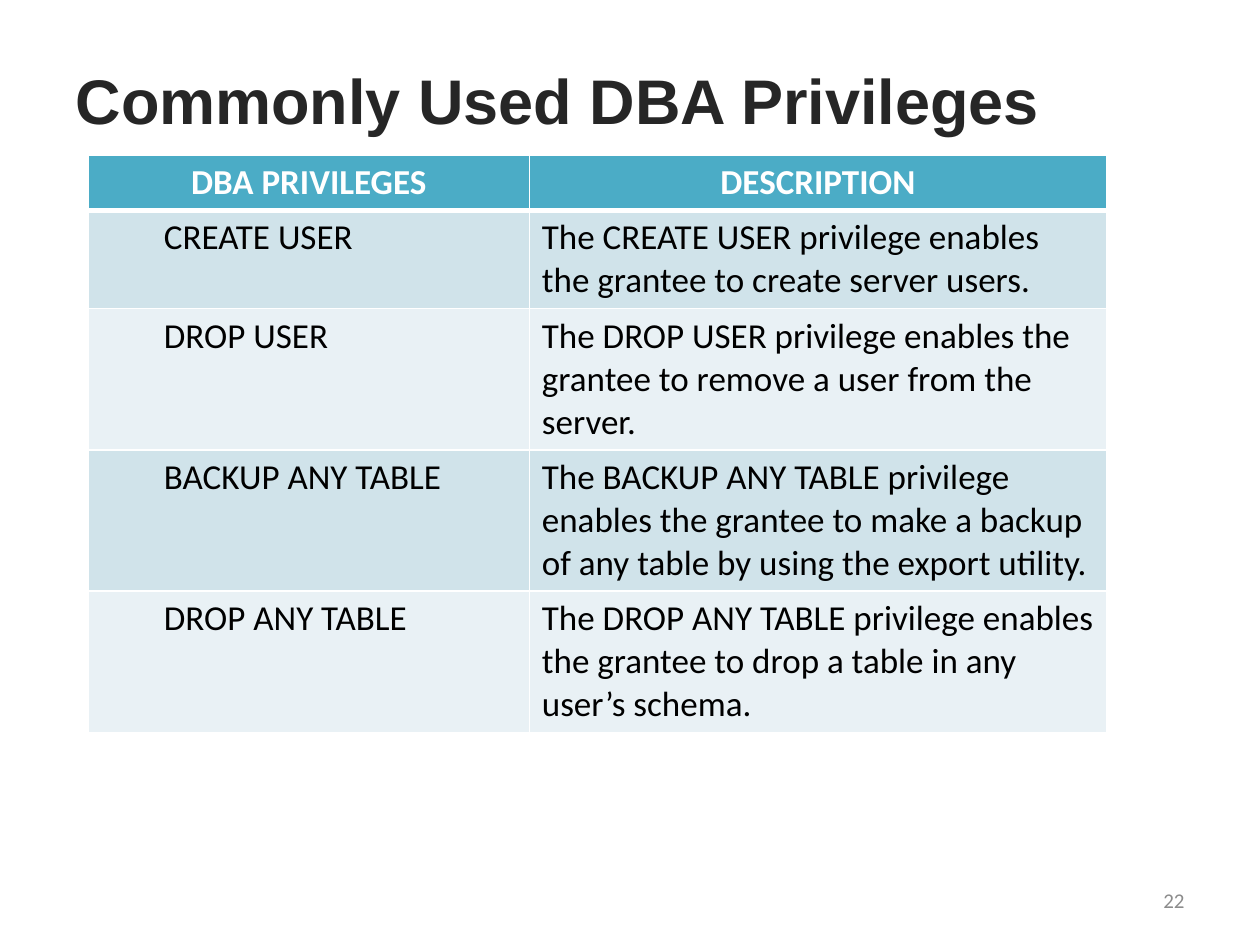
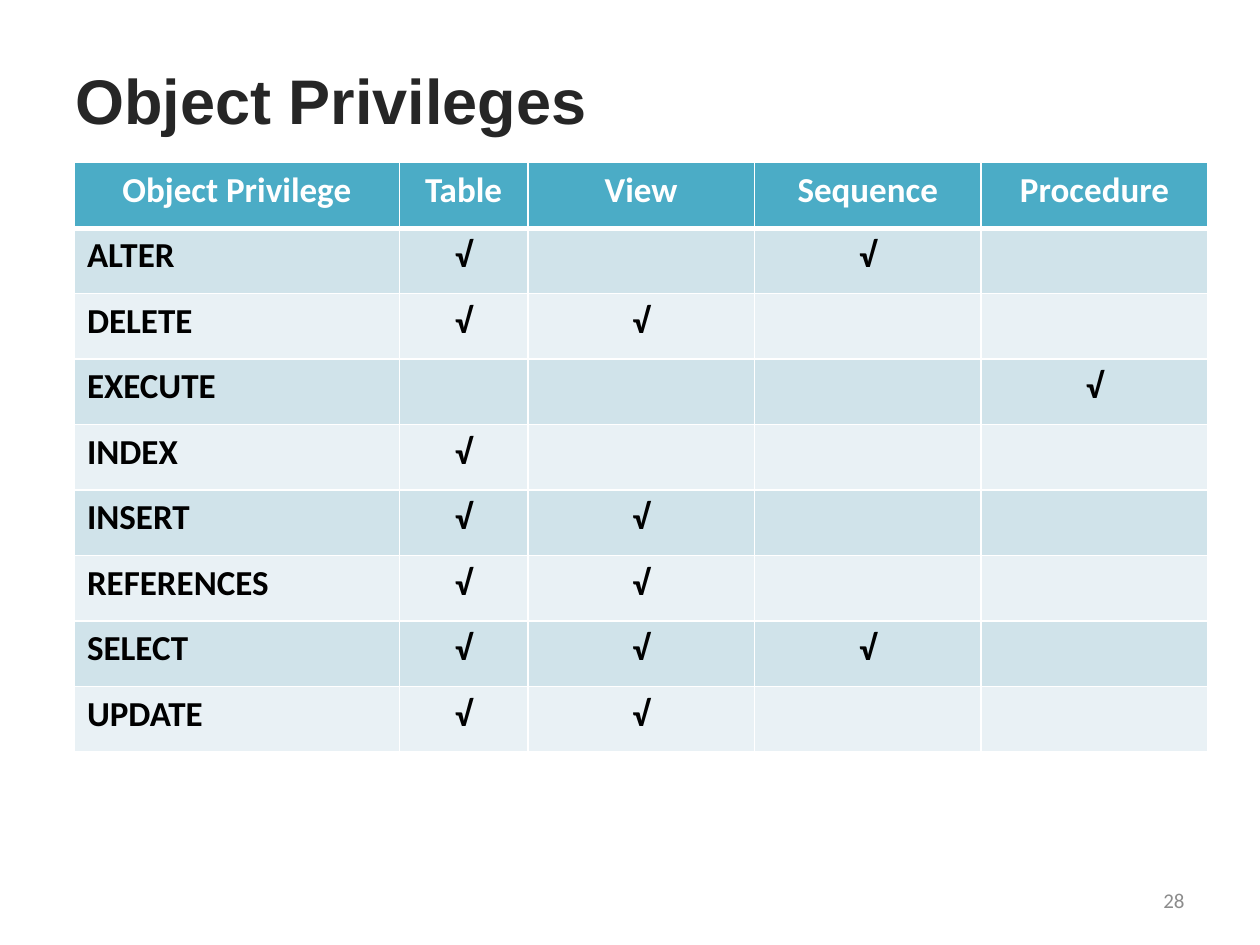
"""Build two slides of database privilege tables."""
from dataclasses import dataclass
from typing import Any

from lxml.etree import SubElement
from pptx import Presentation
from pptx.dml.color import RGBColor as RGB
from pptx.enum.text import MSO_ANCHOR as Anchor, MSO_AUTO_SIZE as AutoSize, PP_ALIGN as Align
from pptx.oxml.ns import qn
from pptx.util import Cm, Pt


@dataclass(frozen=True)
class Theme:
    title_font: str = "Arial"
    body_font: str = "Calibri"
    title_size: int = 36
    body_size: int = 20
    number_size: int = 12
    title: str = "262626"
    number: str = "8C8C8C"
    header: str = "4BACC6"
    bands: tuple[str, str] = ("D0E3EA", "E9F1F5")
    white: str = "FFFFFF"
    black: str = "000000"
    rule: int = 1
    header_rule: int = 3


@dataclass(frozen=True)
class Grid:
    left: float
    top: float
    cols: tuple[float, ...]
    heights: tuple[float, ...]
    rows: list[list[str]]
    aligns: tuple[Any, ...]
    bold: bool = False
    indent: float = 0


@dataclass(frozen=True)
class Page:
    title: str
    title_width: float
    number: int
    grid: Grid


T = Theme()

DBA = Grid(
    left=1.78, top=3.12, cols=(8.89, 11.64), heights=(1.09, 1.98) + (2.84,) * 3,
    rows=[
        ["DBA PRIVILEGES", "DESCRIPTION"],
        ["CREATE USER",
         "The CREATE USER privilege enables the grantee to create server users."],
        ["DROP USER",
         "The DROP USER privilege enables the grantee to remove a user from the server."],
        ["BACKUP ANY TABLE",
         "The BACKUP ANY TABLE privilege enables the grantee to make a backup "
         "of any table by using the export utility."],
        ["DROP ANY TABLE",
         "The DROP ANY TABLE privilege enables the grantee to drop a table in any user’s schema."],
    ],
    aligns=(Align.LEFT, Align.LEFT), indent=1.27)

OBJECTS = ["Table", "View", "Sequence", "Procedure"]
GRANTS = {
    "ALTER": {"Table", "Sequence"},
    "DELETE": {"Table", "View"},
    "EXECUTE": {"Procedure"},
    "INDEX": {"Table"},
    "INSERT": {"Table", "View"},
    "REFERENCES": {"Table", "View"},
    "SELECT": {"Table", "View", "Sequence"},
    "UPDATE": {"Table", "View"},
}
OBJECT = Grid(
    left=1.5, top=3.28, cols=(6.55, 2.59) + (4.57,) * 3, heights=(1.32,) * (len(GRANTS) + 1),
    rows=[["Object Privilege", *OBJECTS]]
    + [[name, *("√" if o in granted else "" for o in OBJECTS)] for name, granted in GRANTS.items()],
    aligns=(Align.LEFT,) + (Align.CENTER,) * len(OBJECTS), bold=True)

PAGES = [
    Page("Commonly Used DBA Privileges", 20.04, 22, DBA),
    Page("Object Privileges", 22.86, 28, OBJECT),
]


def write(tf: Any, text: str, color: str, align: Any, **fmt: Any) -> Any:
    """Put one formatted run in a text frame and return its paragraph."""
    p = tf.paragraphs[0]
    p.alignment = align
    r = p.add_run()
    r.text = text
    for key, value in fmt.items():
        setattr(r.font, key, value)
    r.font.color.rgb = RGB.from_string(color)
    return p


def place(sp: Any, left: float, top: float, width: float, height: float) -> None:
    """Set the position and size of a shape in centimetres."""
    box = {"left": left, "top": top, "width": width, "height": height}
    for key, value in box.items():
        setattr(sp, key, Cm(value))


def middle(tf: Any) -> None:
    """Wrap a text frame and centre it vertically."""
    fmt = {"word_wrap": True, "auto_size": AutoSize.NONE, "vertical_anchor": Anchor.MIDDLE}
    for key, value in fmt.items():
        setattr(tf, key, value)


def border(cell: Any, row: int) -> None:
    """Draw white cell borders, heavier under the header row."""
    tcPr = cell._tc.get_or_add_tcPr()
    heavy = {0: "lnB", 1: "lnT"}.get(row)
    for i, side in enumerate(("lnL", "lnR", "lnT", "lnB")):
        width = T.header_rule if side == heavy else T.rule
        ln = SubElement(tcPr, qn(f"a:{side}"), w=str(Pt(width)))
        SubElement(SubElement(ln, qn("a:solidFill")), qn("a:srgbClr"), val=T.white)
        tcPr.insert(i, ln)


def add_grid(s: Any, g: Grid) -> None:
    """Add a banded table to a slide."""
    table = s.shapes.add_table(len(g.rows), len(g.cols), Cm(g.left), Cm(g.top),
                               Cm(sum(g.cols)), Cm(sum(g.heights))).table
    for col, width in zip(table.columns, g.cols):
        col.width = Cm(width)
    for i, (row, height) in enumerate(zip(table.rows, g.heights)):
        row.height = Cm(height)
        head = i == 0
        for j, cell in enumerate(row.cells):
            cell.fill.solid()
            cell.fill.fore_color.rgb = RGB.from_string(T.header if head else T.bands[(i - 1) % 2])
            border(cell, i)
            if not g.rows[i][j]:
                continue
            p = write(cell.text_frame, g.rows[i][j], T.white if head else T.black,
                      Align.CENTER if head else g.aligns[j],
                      name=T.body_font, size=Pt(T.body_size), bold=head or g.bold)
            if g.indent and j == 0 and not head:
                p._p.get_or_add_pPr().set("marL", str(Cm(g.indent)))


def add_page(prs: Any, page: Page) -> None:
    """Add a slide with its title, table and number."""
    s = prs.slides.add_slide(prs.slide_layouts[5])
    sp = s.shapes.title
    place(sp, 1.27, 0.41, page.title_width, 3.18)
    middle(sp.text_frame)
    write(sp.text_frame, page.title, T.title, Align.LEFT,
          name=T.title_font, size=Pt(T.title_size), bold=True)
    add_grid(s, page.grid)
    sp = s.shapes.add_textbox(0, 0, 0, 0)
    place(sp, 18.2, 17.65, 5.93, 1.01)
    middle(sp.text_frame)
    write(sp.text_frame, str(page.number), T.number, Align.RIGHT,
          name=T.body_font, size=Pt(T.number_size))


def main() -> None:
    """Build and save the presentation."""
    prs = Presentation()
    prs.slide_width, prs.slide_height = Cm(25.4), Cm(19.05)
    for page in PAGES:
        add_page(prs, page)
    prs.save("out.pptx")


if __name__ == "__main__":
    main()
